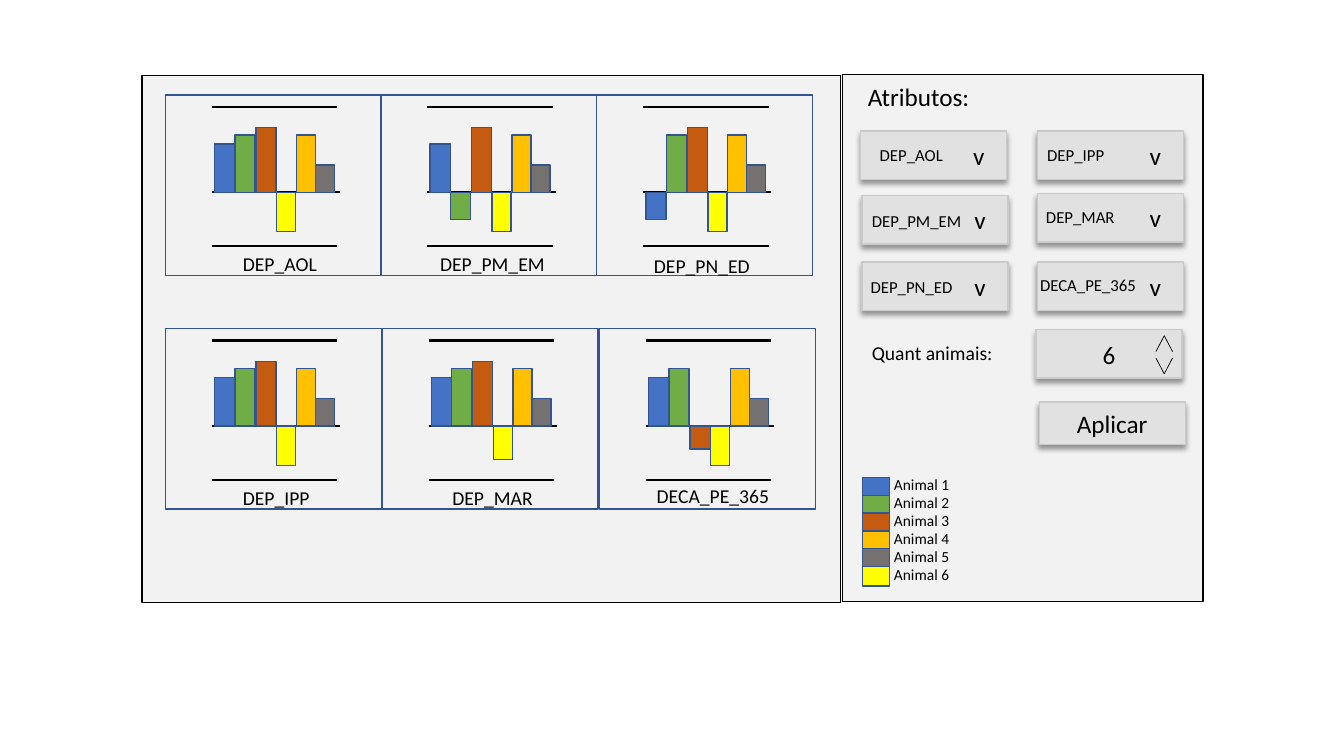
"""Builds a dashboard slide comparing six animals over six attributes."""
from lxml.etree import SubElement
from pptx import Presentation
from pptx.dml.color import RGBColor
from pptx.enum.shapes import MSO_CONNECTOR as Connector, MSO_SHAPE as Shape
from pptx.enum.text import MSO_ANCHOR as Anchor, PP_ALIGN as Align
from pptx.oxml.ns import qn
from pptx.util import Cm, Pt

COLORS = {"page": "F2F2F2", "ink": "000000", "outline": "325491",
          "button": "E1E1E1", "button_edge": "CACACA"}
ANIMALS = [("Animal 1", "4472C4"), ("Animal 2", "70AD47"), ("Animal 3", "C55A11"),
           ("Animal 4", "FFC000"), ("Animal 5", "767171"), ("Animal 6", "FFFF00")]
PANELS = [(3.58, 1.9, 17.6, 13.28), (21.23, 1.88, 9.09, 13.28)]

# attribute, frame corner, title offset, signed bar height of each animal
CHARTS = [
    ("DEP_AOL", (4.17, 2.39), (1.7, 3.84), (1.22, 1.45, 1.63, 1.45, 0.69, -0.99)),
    ("DEP_PM_EM", (9.6, 2.39), (1.24, 3.84), (1.22, -0.69, 1.63, 1.45, 0.69, -0.99)),
    ("DEP_PN_ED", (15.04, 2.39), (1.19, 3.89), (-0.69, 1.45, 1.63, 1.45, 0.69, -0.99)),
    ("DEP_IPP", (4.17, 8.28), (1.7, 3.84), (1.22, 1.45, 1.63, 1.45, 0.69, -0.99)),
    ("DEP_MAR", (9.63, 8.28), (1.52, 3.84), (1.22, 1.45, 1.63, 1.45, 0.69, -0.84)),
    ("DECA_PE_365", (15.11, 8.28), (1.19, 3.78), (1.22, 1.45, -0.58, 1.45, 0.69, -0.99)),
]
FRAME = (5.44, 4.55)
BAR_LEFTS = (1.24, 1.75, 2.28, 3.3, 3.78, 2.8)
BAR_WIDTHS = (0.51, 0.51, 0.51, 0.48, 0.48, 0.48)
AXIS_LEFT, AXIS_Y = 1.17, 2.46
RULES = [(AXIS_Y, 3.23), (0.3, 3.16), (3.81, 3.16)]

# attribute, button corner, label offset
DROPDOWNS = [
    ("DEP_AOL", (21.69, 3.3), (0.23, 0.23)),
    ("DEP_PM_EM", (21.72, 4.93), (0, 0.25)),
    ("DEP_PN_ED", (21.72, 6.6), (-0.03, 0.25)),
    ("DEP_IPP", (26.14, 3.3), (0, 0.23)),
    ("DEP_MAR", (26.14, 4.88), (-0.03, 0.2)),
    ("DECA_PE_365", (26.14, 6.6), (-0.18, 0.2)),
]
BUTTON = (3.68, 1.22)
HEADINGS = [("Atributos:", (21.62, 1.93), 18), ("Quant animais:", (21.72, 8.46), 14)]
COUNT, COUNT_CORNER = "6", (26.11, 8.31)
APPLY, APPLY_BOX = "Aplicar", (26.19, 10.13, 3.68, 1.07)
SPINNER_X, SPINNER_HALF = 29.34, 0.21
SPINNER_ARROWS = [(8.46, 8.86), (9.42, 9.02)]
LEGEND_LEFT, LEGEND_TOP, LEGEND_STEP = 21.73, 12.03, 0.45
SWATCH = (0.69, 0.49)


def rgb(hex_color):
    return RGBColor.from_string(hex_color)


def write(frame, wording, size, align=Align.LEFT):
    paragraph = frame.paragraphs[0]
    paragraph.alignment = align
    run = paragraph.add_run()
    run.text = wording
    for attribute, value in {"name": "Calibri", "size": Pt(size)}.items():
        setattr(run.font, attribute, value)
    run.font.color.rgb = rgb(COLORS["ink"])


def add_box(parent, box, fill, edge):
    rect = parent.shapes.add_shape(Shape.RECTANGLE, *map(Cm, box))
    rect.shadow.inherit = False
    if fill:
        rect.fill.solid()
        rect.fill.fore_color.rgb = rgb(fill)
    else:
        rect.fill.background()
    rect.line.color.rgb = rgb(edge)
    rect.line.width = Pt(1)
    return rect


def add_line(parent, start, end, width):
    line = parent.shapes.add_connector(Connector.STRAIGHT, *map(Cm, start + end))
    line.line.color.rgb = rgb(COLORS["ink"])
    line.line.width = Pt(width)
    SubElement(line._element.spPr, qn("a:effectLst"))


def add_label(parent, wording, left, top, size, width=3.8):
    label = parent.shapes.add_textbox(Cm(left), Cm(top), Cm(width), Cm(size * 0.06))
    label.text_frame.word_wrap = True
    write(label.text_frame, wording, size)


def add_button(parent, box, wording, align=Align.CENTER):
    button = add_box(parent, box, COLORS["button"], COLORS["button_edge"])
    effects = button._element.spPr.find(qn("a:effectLst"))
    shadow = SubElement(effects, qn("a:outerShdw"), blurRad=str(Pt(4)), dist=str(Pt(3)),
                        dir="5400000", algn="t", rotWithShape="0")
    tint = SubElement(shadow, qn("a:srgbClr"), val=COLORS["ink"])
    SubElement(tint, qn("a:alpha"), val="40000")
    frame = button.text_frame
    frame.vertical_anchor = Anchor.MIDDLE
    if align == Align.RIGHT:
        frame.margin_right = Cm(0.56)
    write(frame, wording, 18, align)


def add_bar_chart(slide, title, corner, title_offset, heights):
    left, top = corner
    chart = slide.shapes.add_group_shape()
    add_box(chart, corner + FRAME, None, COLORS["outline"])
    for rule_y, length in RULES:
        start = (left + AXIS_LEFT, top + rule_y)
        add_line(chart, start, (start[0] + length, start[1]), 1.5)
    for (_, color), offset, width, height in zip(ANIMALS, BAR_LEFTS, BAR_WIDTHS, heights):
        bar_top = top + AXIS_Y - max(height, 0)
        add_box(chart, (left + offset, bar_top, width, abs(height)), color, COLORS["outline"])
    add_label(slide, title, left + title_offset[0], top + title_offset[1], 14)


def main():
    deck = Presentation()
    deck.slide_width, deck.slide_height = Cm(33.87), Cm(19.05)
    slide = deck.slides.add_slide(deck.slide_layouts[6])

    for panel in PANELS:
        add_box(slide, panel, COLORS["page"], COLORS["ink"])
    for chart in CHARTS:
        add_bar_chart(slide, *chart)
    for attribute, corner, offset in DROPDOWNS:
        add_button(slide, corner + BUTTON, "v", Align.RIGHT)
        add_label(slide, attribute, corner[0] + offset[0], corner[1] + offset[1], 12)
    for heading, corner, size in HEADINGS:
        add_label(slide, heading, *corner, size)

    counter = slide.shapes.add_group_shape()
    add_button(counter, COUNT_CORNER + BUTTON, COUNT)
    for tip, base in SPINNER_ARROWS:
        for side in (-SPINNER_HALF, SPINNER_HALF):
            add_line(counter, (SPINNER_X, tip), (SPINNER_X + side, base), 0.5)
    add_button(slide, APPLY_BOX, APPLY)

    legend = slide.shapes.add_group_shape()
    for row, (animal, color) in enumerate(ANIMALS):
        top = LEGEND_TOP + row * LEGEND_STEP
        add_box(legend, (LEGEND_LEFT, top) + SWATCH, color, COLORS["outline"])
        add_label(legend, animal, LEGEND_LEFT + 0.55, top - 0.17, 11, 2.5)

    deck.save("out.pptx")


if __name__ == "__main__":
    main()
